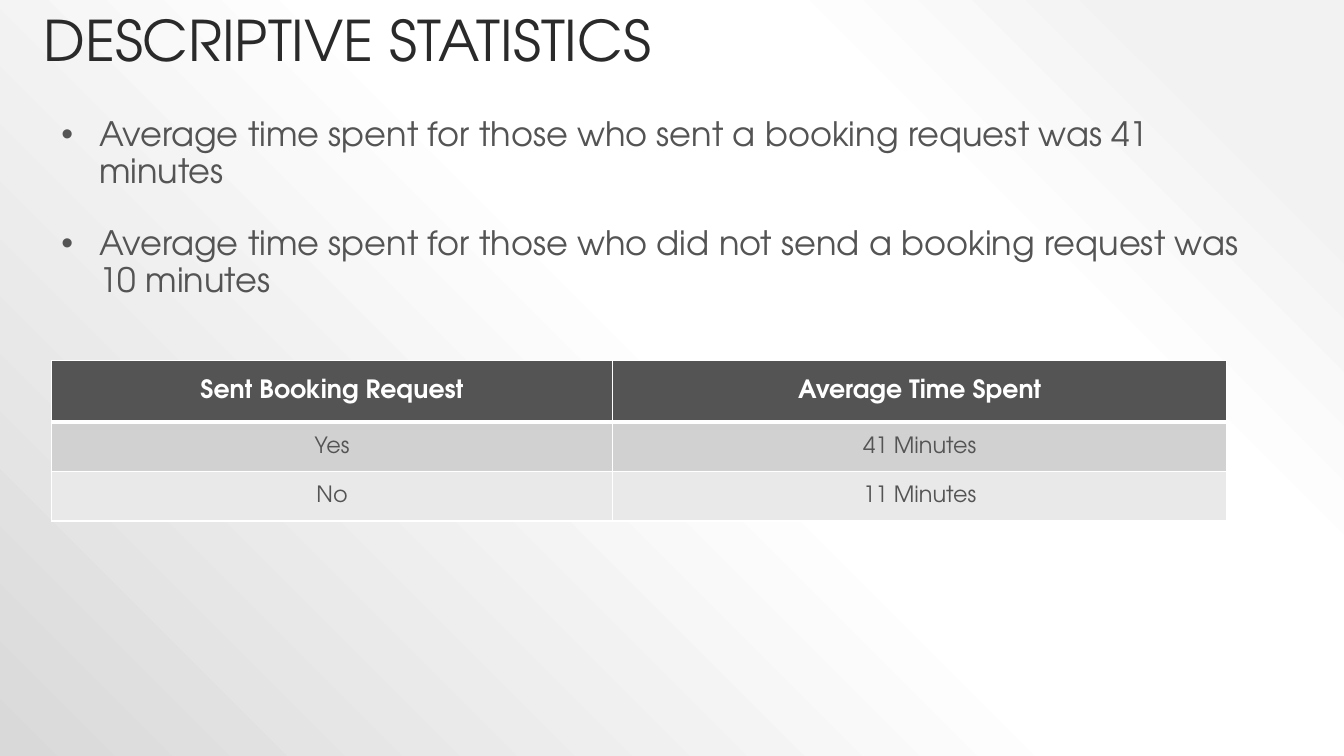
from lxml.etree import SubElement as Sub
from pptx import Presentation
from pptx.dml.color import RGBColor as RGB
from pptx.enum.text import MSO_ANCHOR as Anchor, PP_ALIGN as Align
from pptx.oxml.ns import qn
from pptx.util import Pt

FONT = "TeX Gyre Adventor"
COLORS = {
    "title": "2A2A2A",
    "text": "545454",
    "white": "FFFFFF",
    "dark": "D1D1D1",
    "light": "E9E9E9",
    "edge": "F2F2F2",
    "shade": "D9D9D9",
}


def style(par, size, color, bold=False):
    for run in par.runs:
        run.font.name = FONT
        run.font.size = Pt(size)
        run.font.bold = bold
        run.font.color.rgb = RGB.from_string(COLORS[color])


def paint(node, color):
    Sub(node, qn("a:srgbClr"), val=COLORS[color])


deck = Presentation()
deck.slide_width, deck.slide_height = Pt(960), Pt(540)
slide = deck.slides.add_slide(deck.slide_layouts[6])

slide.background.fill.gradient()
grad = next(slide.element.iter(qn("a:gradFill")))
for child in list(grad):
    grad.remove(child)
stops = Sub(grad, qn("a:gsLst"))
for spot, color in [(10, "edge"), (28, "white"), (48, "white"), (100, "shade")]:
    paint(Sub(stops, qn("a:gs"), pos=str(spot * 1000)), color)
focus = Sub(grad, qn("a:path"), path="circle")
Sub(focus, qn("a:fillToRect"), l="100000", b="100000")

title = slide.shapes.add_textbox(Pt(24), Pt(-12.24), Pt(770), Pt(68.4)).text_frame
title.word_wrap = True
title.vertical_anchor = Anchor.BOTTOM
title.text = "DESCRIPTIVE STATISTICS"
title.paragraphs[0].line_spacing = 0.9
style(title.paragraphs[0], 40, "title")

points = [
    "Average time spent for those who sent a booking request was 41 minutes",
    "Average time spent for those who did not send a booking request was 10 minutes",
]
body = slide.shapes.add_textbox(Pt(36.72), Pt(80.64), Pt(877), Pt(138.24)).text_frame
body.word_wrap = True
body.text = "\n".join(points)
for i, par in enumerate(body.paragraphs):
    par.line_spacing = 0.9
    par.space_before = Pt(26 * i)
    style(par, 24, "text")
    props = par._p.get_or_add_pPr()
    props.set("marL", str(Pt(27)))
    props.set("indent", str(Pt(-27)))
    paint(Sub(props, qn("a:buClr")), "text")
    Sub(props, qn("a:buFont"), typeface="Arial")
    Sub(props, qn("a:buChar"), char="•")

rows = [
    ("Sent Booking Request", "Average Time Spent"),
    ("Yes", "41 Minutes"),
    ("No", "11 Minutes"),
]
fills = ["text", "dark", "light"]
highs = [43.92, 35.28, 35.28]
wides = [401, 438.5]
frame = slide.shapes.add_table(
    len(rows), len(wides), Pt(36.72), Pt(257.76), Pt(sum(wides)), Pt(sum(highs))
)
table = frame.table
for col, wide in zip(table.columns, wides):
    col.width = Pt(wide)
for r, row in enumerate(rows):
    table.rows[r].height = Pt(highs[r])
    head = r == 0
    for c, word in enumerate(row):
        cell = table.cell(r, c)
        cell.text = word
        cell.vertical_anchor = Anchor.MIDDLE
        par = cell.text_frame.paragraphs[0]
        par.alignment = Align.CENTER
        style(par, 18 if head else 16, "white" if head else "text", head)
        props = cell._tc.get_or_add_tcPr()
        top, base = 3 if r == 1 else 1, 3 if head else 1
        for side, thick in zip("LRTB", (1, 1, top, base)):
            line = Sub(props, qn("a:ln" + side), w=str(Pt(thick)))
            paint(Sub(line, qn("a:solidFill")), "white")
        cell.fill.solid()
        cell.fill.fore_color.rgb = RGB.from_string(COLORS[fills[r]])

deck.save("out.pptx")
